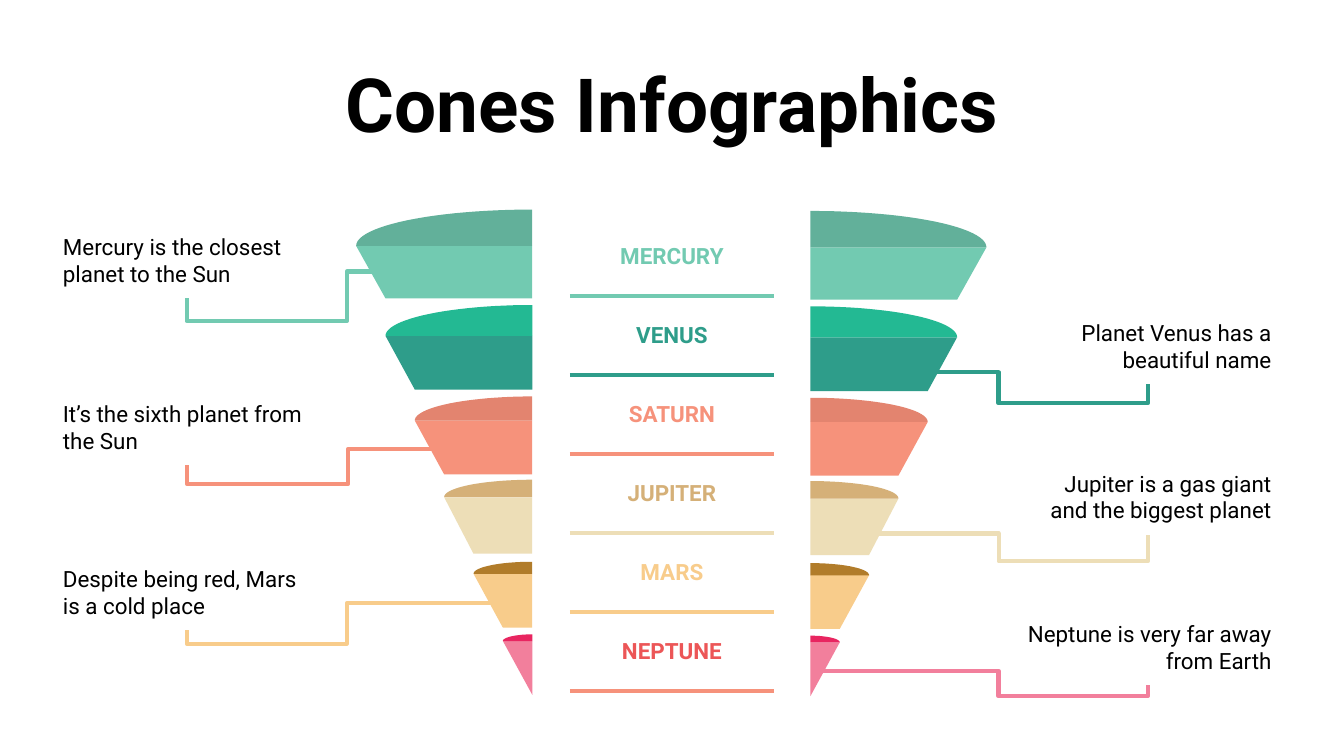
import math
from dataclasses import dataclass
from lxml import etree
from pptx import Presentation, util as u
from pptx.dml.color import RGBColor
from pptx.enum import shapes, text
from pptx.oxml import ns


@dataclass(frozen=True)
class Theme:
    font: str = "Roboto"
    ink: str = "000000"
    head: int = 40
    body: int = 12
    line: float = 2.25
    mint: str = "72CAB1"
    moss: str = "62B09A"
    teal: str = "2E9D8A"
    jade: str = "23B993"
    coral: str = "F6927B"
    clay: str = "E3846F"
    cream: str = "EDDEB7"
    sand: str = "D5B078"
    gold: str = "F8CC8B"
    bronze: str = "B17C2A"
    pink: str = "F27F9C"
    rose: str = "E82560"
    red: str = "EC5657"


T = Theme()
LEFT, RIGHT = text.PP_ALIGN.LEFT, text.PP_ALIGN.RIGHT
STEP = 1.31 / 6
GAP = 2.94 / 5

TIERS = [
    ("MERCURY", T.mint, T.mint, T.mint, T.moss, 1.57, 1.84, 2.23),
    ("VENUS", T.teal, T.teal, T.teal, T.jade, 2.28, 2.51, 2.91),
    ("SATURN", T.coral, T.coral, T.coral, T.clay, 2.96, 3.14, 3.54),
    ("JUPITER", T.sand, T.cream, T.cream, T.sand, 3.58, 3.71, 4.13),
    ("MARS", T.gold, T.gold, T.gold, T.bronze, 4.19, 4.28, 4.68),
    ("NEPTUNE", T.red, T.coral, T.pink, T.rose, 4.73, 4.78, 5.18),
]

NOTES = [
    ("Mercury is the closest planet to the Sun", LEFT, 1.65, T.mint, 2.83, 2.02, 2.58, 2.39),
    ("Planet Venus has a beautiful name", RIGHT, 2.29, T.teal, 6.9, 2.77, 7.43, 3),
    ("It’s the sixth planet from the Sun", LEFT, 2.89, T.coral, 3.38, 3.34, 2.59, 3.6),
    ("Jupiter is a gas giant and the biggest planet", RIGHT, 3.41, T.cream, 6.49, 3.97, 7.43, 4.18),
    ("Despite being red, Mars is a cold place", LEFT, 4.12, T.gold, 3.7, 4.49, 2.58, 4.79),
    ("Neptune is very far away from Earth", RIGHT, 4.53, T.pink, 6.08, 4.99, 7.43, 5.18),
]


def style(shape, words, size, tone, bold, align):
    frame = shape.text_frame
    frame.text = words
    frame.word_wrap = True
    frame.auto_size = text.MSO_AUTO_SIZE.NONE
    frame.vertical_anchor = text.MSO_ANCHOR.MIDDLE
    frame.margin_left = frame.margin_right = u.Inches(0.1)
    frame.margin_top = frame.margin_bottom = u.Inches(0.1)
    para = frame.paragraphs[0]
    para.alignment = align
    for run in para.runs:
        run.font.name = T.font
        run.font.size = u.Pt(size)
        run.font.bold = bold
        run.font.color.rgb = RGBColor.from_string(tone)


def add_text(slide, words, x, y, wide, high, tone, bold, align):
    box = slide.shapes.add_textbox(*map(u.Inches, (x, y, wide, high)))
    style(box, words, T.body, tone, bold, align)
    return box


def add_title(slide, words):
    title = slide.shapes.title
    title.left, title.top = u.Inches(0.5), u.Inches(0.45)
    title.width, title.height = u.Inches(9), u.Inches(0.63)
    style(title, words, T.head, T.ink, True, text.PP_ALIGN.CENTER)


def add_line(slide, kind, start, end, tone):
    line = slide.shapes.add_connector(kind, *map(u.Inches, start + end))
    line.line.color.rgb = RGBColor.from_string(tone)
    line.line.width = u.Pt(T.line)
    etree.SubElement(line._element.spPr, ns.qn("a:effectLst"))
    return line


def add_face(group, points, tone):
    dots = [(u.Inches(x), u.Inches(y)) for x, y in points]
    pen = group.shapes.build_freeform(*dots[0])
    pen.add_line_segments(dots[1:], close=True)
    face = pen.convert_to_shape()
    face.shadow.inherit = False
    face.fill.solid()
    face.fill.fore_color.rgb = RGBColor.from_string(tone)
    face.line.fill.background()


def add_cone(slide, edge, way, lift):
    group = slide.shapes.add_group_shape()
    for i, (_, _, _, side, lid, top, rim, base) in enumerate(TIERS):
        top, rim, base = top - lift, rim - lift, base - lift
        wide = STEP * (len(TIERS) - i)
        outer, inner = edge + way * wide, edge + way * (wide - STEP)
        add_face(group, [(edge, rim), (outer, rim), (inner, base), (edge, base)], side)
        turns = [math.pi / 2 * k / 24 for k in range(25)]
        curve = [(edge + way * wide * math.sin(a), rim - (rim - top) * math.cos(a)) for a in turns]
        add_face(group, [(edge, rim)] + curve, lid)


def add_label(slide, i, name, tone, rule):
    add_text(slide, name, 4.48, 1.7 + GAP * i, 1.04, 0.4, tone, True, text.PP_ALIGN.CENTER)
    y = 2.2 + GAP * i
    add_line(slide, shapes.MSO_CONNECTOR.STRAIGHT, (4.24, y), (5.76, y), rule)


def add_note(slide, words, align, top, tone, x, y, turn, low):
    left = 0.37 if align == LEFT else 7.52
    box = add_text(slide, words, left, top, 2.04, 0.57, T.ink, False, align)
    end = (left + 1.02, top + 0.57)
    line = add_line(slide, shapes.MSO_CONNECTOR.ELBOW, (x, y), end, tone)
    line.end_connect(box, 2)
    geom = line._element.spPr.find(ns.qn("a:prstGeom"))
    geom.set("prst", "bentConnector4")
    guides = geom.find(ns.qn("a:avLst"))
    ratios = (turn - x) / (end[0] - x), (low - y) / (end[1] - y)
    for k, ratio in enumerate(ratios, 1):
        guide = etree.SubElement(guides, ns.qn("a:gd"))
        guide.set("name", f"adj{k}")
        guide.set("fmla", f"val {round(ratio * 100000)}")


def main():
    deck = Presentation()
    deck.slide_width = u.Inches(10)
    deck.slide_height = deck.slide_width * 9 // 16
    slide = deck.slides.add_slide(deck.slide_layouts[5])
    add_title(slide, "Cones Infographics")
    for i, (name, tone, rule, *_) in enumerate(TIERS):
        add_label(slide, i, name, tone, rule)
    add_cone(slide, 6.03, 1, 0)
    add_cone(slide, 3.96, -1, 0.01)
    for note in NOTES:
        add_note(slide, *note)
    deck.save("out.pptx")


if __name__ == "__main__":
    main()
